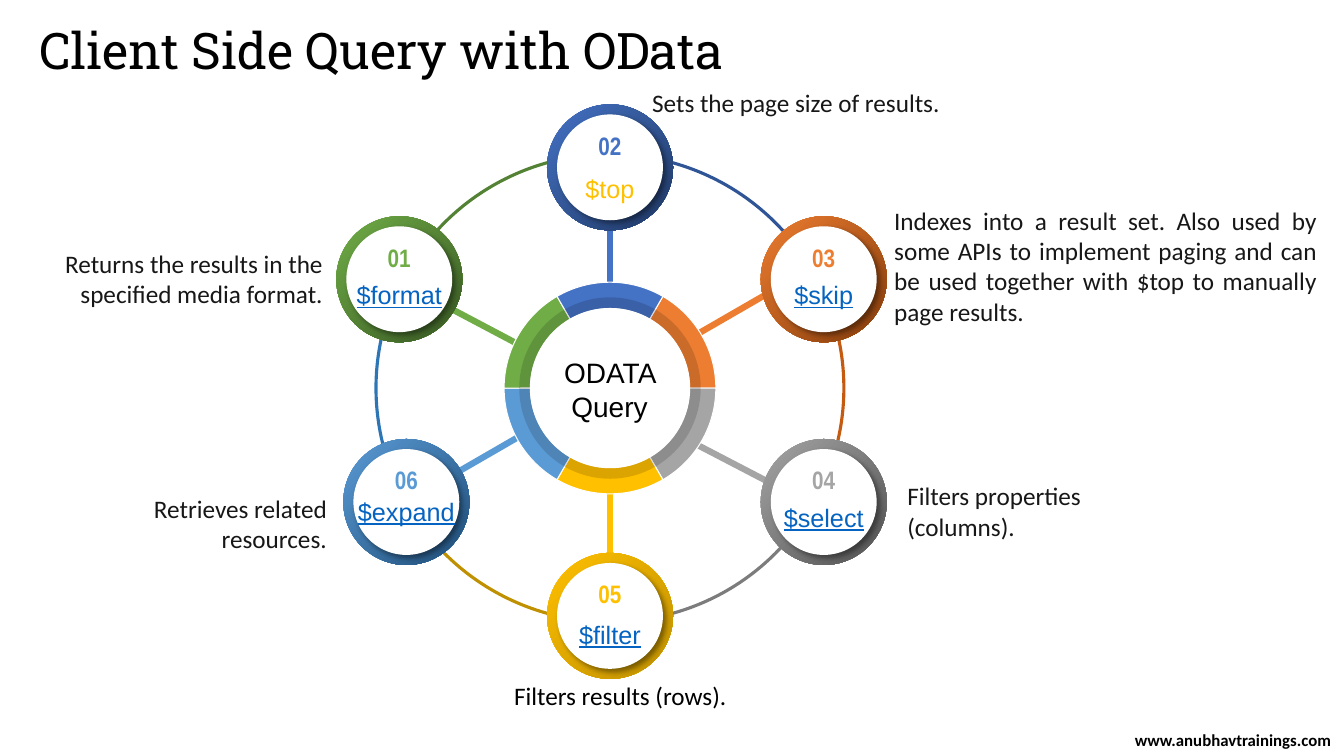
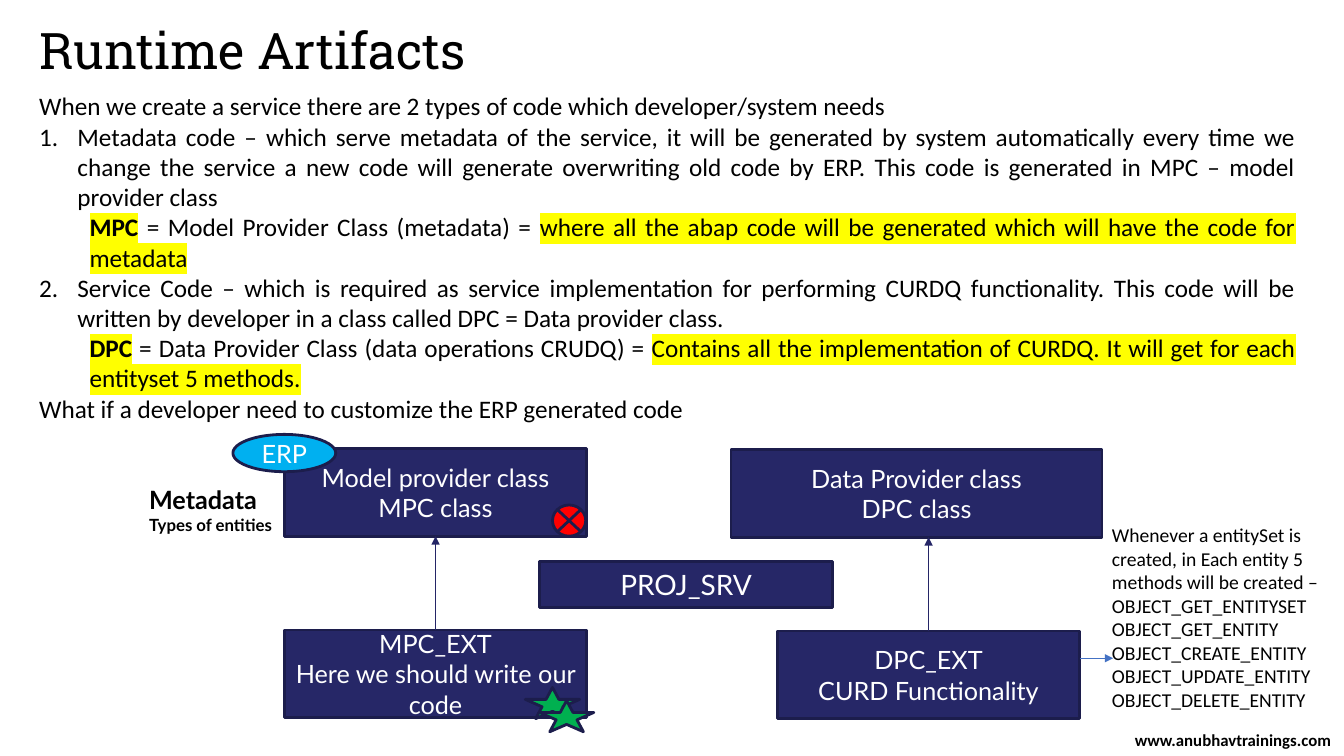
from lxml import etree
from pptx import Presentation
from pptx.dml.color import RGBColor
from pptx.enum.shapes import MSO_CONNECTOR, MSO_SHAPE
from pptx.enum.text import MSO_ANCHOR, PP_ALIGN
from pptx.oxml.ns import qn
from pptx.util import Inches, Pt

STRAIGHT = MSO_CONNECTOR.STRAIGHT
RECTANGLE, ELLIPSE = MSO_SHAPE.RECTANGLE, MSO_SHAPE.OVAL
ARC, BLOCK_ARC, STAR = MSO_SHAPE.ARC, MSO_SHAPE.BLOCK_ARC, MSO_SHAPE.STAR_5_POINT
CROSSED_CIRCLE = MSO_SHAPE.FLOWCHART_SUMMING_JUNCTION
LEFT, CENTER, RIGHT, JUSTIFY = PP_ALIGN.LEFT, PP_ALIGN.CENTER, PP_ALIGN.RIGHT, PP_ALIGN.JUSTIFY
TOP, MIDDLE, BOTTOM = MSO_ANCHOR.TOP, MSO_ANCHOR.MIDDLE, MSO_ANCHOR.BOTTOM

BLACK, WHITE, INK, LINK = "000000", "FFFFFF", "171717", "0563C1"
NAVY, NAVY_EDGE, NAVY_LINE, YELLOW = "262767", "1C1D4C", "242566", "FFFF00"
HUB_X, HUB_Y = 6.05, 3.85
DEGREE = 0.6

NODES = [
    ("03", "$skip", 8.17, 2.77, 0, LINK, "ED7D31", "843C0B", "C55A11", (345, 15), (7.6, 2.92, 6.89, 3.33)),
    ("04", "$select", 8.17, 4.98, 0, LINK, "A5A5A5", "525252", "7C7C7C", (40, 75), (6.89, 4.4, 7.6, 4.77)),
    ("05", "$filter", 6.05, 6.11, 0.03, LINK, "FFC000", "BF9000", "BF9000", (105, 136), (6.05, 4.78, 6.05, 5.5)),
    ("06", "$expand", 4.03, 4.98, -0.06, LINK, "5B9BD5", "1F4E79", "2E75B6", (165, 195), (5.22, 4.29, 4.51, 4.7)),
    ("01", "$format", 3.96, 2.77, 0, LINK, "70AD47", "385723", "548235", (222, 255), (4.43, 3.04, 5.13, 3.41)),
    ("02", "$top", 6.05, 1.66, 0.06, "FFC000", "4472C4", "203864", "2F5597", (284, 320), (6.05, 2.17, 6.05, 2.89)),
]

DESCRIPTIONS = [
    ((0.28, 2.41, 3.02, 0.71), "Returns the results in the specified media format.", RIGHT, TOP, INK),
    ((8.77, 1.98, 4.39, 1.31), "Indexes into a result set. Also used by some APIs to implement paging and can "
     "be used together with $top to manually page results.", JUSTIFY, MIDDLE, INK),
    ((8.9, 4.72, 2.78, 0.71), "Filters properties (columns).", LEFT, TOP, INK),
    ((5, 6.7, 3.33, 0.4), "Filters results (rows).", LEFT, TOP, BLACK),
    ((0.83, 4.84, 2.51, 0.71), "Retrieves related resources.", RIGHT, TOP, INK),
    ((6.37, 0.82, 4, 0.4), "Sets the page size of results.", LEFT, TOP, INK),
]

EXPLANATION = [
    ("plain", ["When we create a service there are 2 types of code which developer/system needs"]),
    ("number", ["Metadata code – which serve metadata of the service, it will be generated by system "
                "automatically every time we change the service a new code will generate overwriting old code "
                "by ERP. This code is generated in MPC – model provider class"]),
    ("detail", ["MPC", " = Model Provider Class (metadata) = ",
                "where all the abap code will be generated which will have the code for metadata"]),
    ("number", ["Service Code – which is required as service implementation for performing CURDQ functionality. "
                "This code will be written by developer in a class called DPC = Data provider class."]),
    ("detail", ["DPC", " = Data Provider Class (data operations CRUDQ) = ",
                "Contains all the implementation of CURDQ. It will get for each entityset 5 methods."]),
    ("plain", ["What if a developer need to customize the ERP generated code"]),
]


def color(value):
    return RGBColor.from_string(value)


def around(x, y, size):
    return x - size / 2, y - size / 2, size, size


def add_element(parent, tag, **attributes):
    return etree.SubElement(parent, qn(tag), {key: str(value) for key, value in attributes.items()})


class Deck:
    def __init__(self):
        self.presentation = Presentation()
        self.presentation.slide_width = Inches(13.33)
        self.presentation.slide_height = Inches(7.5)
        self.slide = None

    def new_slide(self, title):
        self.slide = self.presentation.slides.add_slide(self.presentation.slide_layouts[6])
        heading = self.text((0.29, 0.21, 8.5, 0.65), [title], size=36, font="Roboto Slab")
        heading.text_frame.paragraphs[0].line_spacing = 0.9
        self.text((11.13, 7.26, 2.2, 0.16), ["www.anubhavtrainings.com"], size=12, bold=True,
                  align=CENTER, anchor=MIDDLE)

    def format_run(self, run, size, font, ink, bold=False, underline=False):
        run.font.size = Pt(size)
        run.font.name = font
        run.font.color.rgb = color(ink)
        run.font.bold = bold
        run.font.underline = underline

    def set_lines(self, shape, lines, size=18, font="Calibri", ink=BLACK, align=LEFT, anchor=TOP,
                  bold=False, underline=False):
        frame = shape.text_frame
        frame.word_wrap = True
        frame.vertical_anchor = anchor
        frame.text = "\n".join(lines)
        for paragraph in frame.paragraphs:
            paragraph.alignment = align
            for run in paragraph.runs:
                self.format_run(run, size, font, ink, bold, underline)

    def text(self, box, lines, inset=True, **style):
        shape = self.slide.shapes.add_textbox(*map(Inches, box))
        frame = shape.text_frame
        if not inset:
            frame.margin_left = frame.margin_right = frame.margin_top = frame.margin_bottom = 0
        self.set_lines(shape, lines, **style)
        return shape

    def shape(self, kind, box, fill=None, edge=None, width=2, adjustments=()):
        shape = self.slide.shapes.add_shape(kind, *map(Inches, box))
        shape.shadow.inherit = False
        for index, value in enumerate(adjustments):
            shape.adjustments[index] = value
        if fill:
            shape.fill.solid()
            shape.fill.fore_color.rgb = color(fill)
        else:
            shape.fill.background()
        if edge:
            shape.line.color.rgb = color(edge)
            shape.line.width = Pt(width)
        else:
            shape.line.fill.background()
        return shape

    def labelled(self, kind, box, lines, fill=NAVY, size=18):
        shape = self.shape(kind, box, fill, NAVY_EDGE)
        self.set_lines(shape, lines, size=size, font="Lato", ink=WHITE, align=CENTER, anchor=MIDDLE)
        return shape

    def line(self, points, ink, width, arrow=False, start=None, end=None):
        connector = self.slide.shapes.add_connector(STRAIGHT, *map(Inches, points))
        if start:
            connector.begin_connect(*start)
        if end:
            connector.end_connect(*end)
        connector.line.color.rgb = color(ink)
        connector.line.width = Pt(width)
        properties = connector._element.spPr
        if arrow:
            add_element(properties.find(qn("a:ln")), "a:tailEnd", type="triangle")
        add_element(properties, "a:effectLst")

    def set_alpha(self, shape, percent):
        tint = shape._element.spPr.find(qn("a:solidFill"))[0]
        add_element(tint, "a:alpha", val=percent * 1000)

    def cast_shadow(self, shape):
        effects = shape._element.spPr.find(qn("a:effectLst"))
        shadow = add_element(effects, "a:outerShdw", blurRad=int(Pt(4)), dist=int(Pt(3)), dir=45 * 60000,
                             algn="tl", rotWithShape=0)
        tint = add_element(shadow, "a:srgbClr", val=BLACK)
        add_element(tint, "a:alpha", val=40000)

    def node(self, number, label, x, y, label_offset, label_ink, light, dark):
        rim = self.shape(ELLIPSE, around(x, y, 1.25), light)
        rim.fill.gradient()
        rim.fill.gradient_angle = 315
        for stop, tone, position in zip(rim.fill.gradient_stops, (light, dark), (0, 1)):
            stop.color.rgb = color(tone)
            stop.position = position
        self.cast_shadow(self.shape(ELLIPSE, around(x, y, 1.05), WHITE))
        self.text((x - 0.52, y + label_offset, 1.04, 0.3), [label], inset=False, font="Arial",
                  ink=label_ink, align=CENTER, anchor=MIDDLE, underline=label_ink == LINK)
        self.text((x - 0.4, y - 0.47, 0.8, 0.4), [number], inset=False, font="Arial Narrow",
                  ink=light, align=CENTER, anchor=BOTTOM, bold=True)

    def highlight(self, run):
        marker = etree.Element(qn("a:highlight"))
        add_element(marker, "a:srgbClr", val=YELLOW)
        run._r.rPr.find(qn("a:solidFill")).addnext(marker)

    def explanation(self, box, entries):
        frame = self.text(box, []).text_frame
        for index, (kind, pieces) in enumerate(entries):
            paragraph = frame.add_paragraph() if index else frame.paragraphs[0]
            paragraph.alignment = JUSTIFY
            properties = paragraph._p.get_or_add_pPr()
            if kind == "number":
                properties.set("marL", str(int(Inches(0.38))))
                properties.set("indent", str(-int(Inches(0.38))))
                add_element(properties, "a:buFont", typeface="+mj-lt")
                add_element(properties, "a:buAutoNum", type="arabicPeriod")
            elif kind == "detail":
                paragraph.level = 1
                properties.set("marL", str(int(Inches(0.5))))
                properties.set("indent", "0")
            for position, piece in enumerate(pieces):
                run = paragraph.add_run()
                run.text = piece
                marked = kind == "detail" and position != 1
                self.format_run(run, 18, "Calibri", BLACK, bold=marked and position == 0)
                if marked:
                    self.highlight(run)


def build_query_slide(deck):
    deck.new_slide("Client Side Query with OData")
    for *_, light, dark, arc_ink, sweep, spoke in NODES:
        deck.line(spoke, light, 4.5)
    for index, (*_, light, dark, arc_ink, sweep, spoke) in enumerate(NODES):
        start = (300 + 60 * index) % 360
        deck.shape(BLOCK_ARC, around(HUB_X, HUB_Y, 2.1), light, WHITE, 0,
                   (start * DEGREE, (start + 60) % 360 * DEGREE, 0.125))
        deck.shape(ARC, around(HUB_X, HUB_Y, 4.64), None, arc_ink, 2.25,
                   [angle * DEGREE for angle in sweep])
    deck.set_alpha(deck.shape(ELLIPSE, around(HUB_X, HUB_Y, 1.8), BLACK), 14)
    deck.shape(ELLIPSE, around(HUB_X, HUB_Y, 1.59), WHITE)
    deck.text((5.3, 3.48, 1.49, 0.77), ["ODATA Query"], size=20, font="Arial", align=CENTER, anchor=MIDDLE)
    for node in NODES:
        deck.node(*node[:8])
    for box, sentence, align, anchor, ink in DESCRIPTIONS:
        deck.text(box, [sentence], align=align, anchor=anchor, ink=ink)


def build_artifacts_slide(deck):
    deck.new_slide("Runtime Artifacts")
    deck.explanation((0.29, 0.85, 12.66, 3.43), EXPLANATION)
    model = deck.labelled(RECTANGLE, (2.82, 4.45, 3, 0.87), ["Model provider class\vMPC class"])
    deck.labelled(ELLIPSE, (2.31, 4.31, 1.02, 0.37), ["ERP"], fill="00B0F0")
    deck.shape(CROSSED_CIRCLE, (5.48, 5.01, 0.33, 0.31), "FF0000", NAVY_EDGE)
    model_extension = deck.labelled(RECTANGLE, (2.82, 6.25, 3, 0.87), ["MPC_EXT", "Here we should write our code"])
    deck.line((4.32, 6.25, 4.32, 5.32), NAVY_LINE, 0.75, True, (model_extension, 0), (model, 2))
    for left, top in ((5.21, 6.82), (5.35, 6.95)):
        deck.shape(STAR, (left, top, 0.54, 0.31), "00B050", NAVY_EDGE)
    caption = deck.text((1.38, 4.76, 1.44, 0.48), ["Metadata", "Types of entities"], font="Lato", bold=True)
    caption.text_frame.paragraphs[1].runs[0].font.size = Pt(12)
    deck.labelled(RECTANGLE, (7.25, 4.46, 3.68, 0.87), ["Data Provider class", "DPC class"])
    data_extension = deck.labelled(RECTANGLE, (7.71, 6.26, 3, 0.87), ["DPC_EXT", "CURD Functionality"])
    deck.line((9.21, 6.26, 9.21, 5.33), NAVY_LINE, 0.75, True, (data_extension, 0))
    deck.labelled(RECTANGLE, (5.35, 5.57, 2.91, 0.46), ["PROJ_SRV"], size=20)
    methods = ("GET_ENTITYSET", "GET_ENTITY", "CREATE_ENTITY", "UPDATE_ENTITY", "DELETE_ENTITY")
    deck.text((10.93, 5.14, 2.43, 1.99),
              ["Whenever a entitySet is created, in Each entity 5 methods will be created –",
               *(f"OBJECT_{method}" for method in methods)], size=14)
    deck.line((10.71, 6.53, 11.04, 6.53), "4472C4", 0.5, True)


def main():
    deck = Deck()
    build_query_slide(deck)
    build_artifacts_slide(deck)
    deck.presentation.save("out.pptx")


if __name__ == "__main__":
    main()
